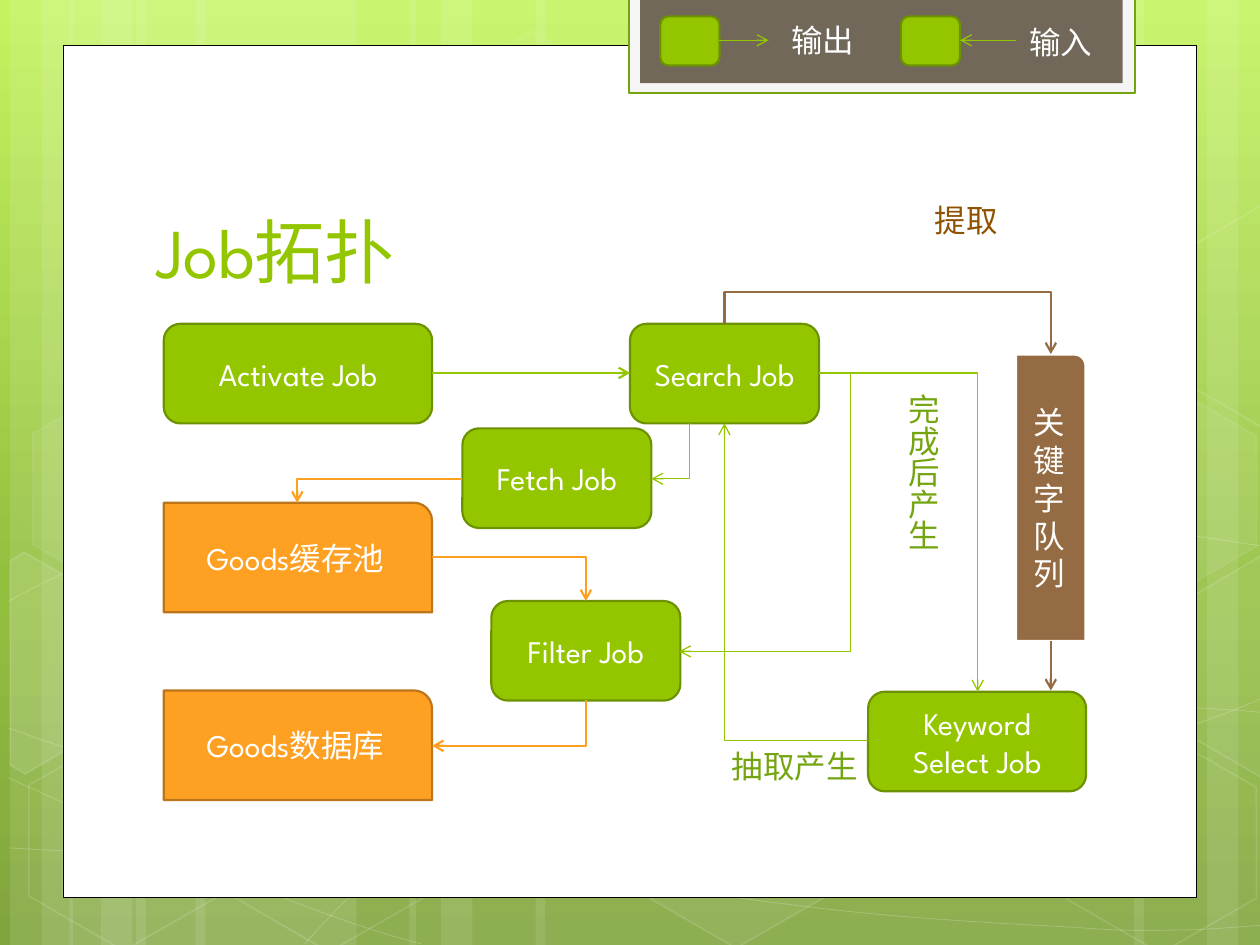
"""Build the job topology slide."""
from math import cos, radians, sin

from lxml import etree
from pptx import Presentation
from pptx.dml.color import RGBColor
from pptx.enum import shapes, text
from pptx.oxml import parse_xml
from pptx.oxml.ns import nsdecls, qn
from pptx.util import Inches, Pt

WHITE = RGBColor(0xFF, 0xFF, 0xFF)
BLACK = RGBColor(0, 0, 0)
GREEN = RGBColor(0x94, 0xC6, 0x00)
GREEN_EDGE = RGBColor(0x6D, 0x92, 0x00)
GREEN_TEXT = RGBColor(0x74, 0xA5, 0x10)
ORANGE = RGBColor(0xFE, 0xA0, 0x22)
ORANGE_EDGE = RGBColor(0xBC, 0x76, 0x19)
BROWN = RGBColor(0x95, 0x6B, 0x43)
BROWN_TEXT = RGBColor(0x8F, 0x52, 0x01)
PALE = RGBColor(0xF5, 0xF5, 0xF5)
TAUPE = RGBColor(0x71, 0x68, 0x5A)
SKY = [(0, "C3F35F"), (62, "93BF3F"), (100, "81A53E")]
KIND = shapes.MSO_SHAPE


def write(frame, words, size=18, color=WHITE, align=None, anchor=None):
    """Put words in a text frame with one format."""
    paragraph = frame.paragraphs[0]
    run = paragraph.add_run()
    run.text = words
    run.font.name, run.font.size, run.font.color.rgb = "League Spartan", Pt(size), color
    paragraph.alignment = align
    if anchor is not None:
        frame.vertical_anchor = anchor


def fade(shape, where, percent):
    """Set the opacity of the colour found at a path in the shape."""
    for color in shape._element.spPr.xpath(where + "a:solidFill/a:srgbClr"):
        etree.SubElement(color, qn("a:alpha")).set("val", str(percent * 1000))


def turn(points, center, degrees):
    """Rotate points clockwise about a center."""
    c, s = cos(radians(degrees)), sin(radians(degrees))
    cx, cy = center
    return [(cx + (x - cx) * c - (y - cy) * s, cy + (x - cx) * s + (y - cy) * c) for x, y in points]


class Board:
    """Hold the current slide and its drawing style."""

    def __init__(self, slide):
        self.slide = slide
        self.shapes = slide.shapes

    def backdrop(self, stops):
        stop_xml = "".join(f'<a:gs pos="{at * 1000}"><a:srgbClr val="{c}"/></a:gs>' for at, c in stops)
        self.slide.background.fill.solid()
        bg = self.slide._element.cSld.find(qn("p:bg")).find(qn("p:bgPr"))
        bg.replace(bg[0], parse_xml(f'<a:gradFill {nsdecls("a")} rotWithShape="1"><a:gsLst>{stop_xml}'
                                    '</a:gsLst><a:lin ang="5400000" scaled="0"/></a:gradFill>'))

    def paint(self, shape, fill, edge, width, opacity=100, edge_opacity=100):
        shape.shadow.inherit = False
        if fill is None:
            shape.fill.background()
        else:
            shape.fill.solid()
            shape.fill.fore_color.rgb = fill
        if edge is None:
            shape.line.fill.background()
        else:
            shape.line.color.rgb, shape.line.width = edge, Pt(width)
        if opacity < 100:
            fade(shape, "./", opacity)
        if edge_opacity < 100:
            fade(shape, "./a:ln/", edge_opacity)
        return shape

    def box(self, kind, place, fill=None, edge=None, width=1.25, words="", **opacity):
        shape = self.shapes.add_shape(kind, *map(Inches, place))
        self.paint(shape, fill, edge, width, **opacity)
        if words:
            write(shape.text_frame, words, align=text.PP_ALIGN.CENTER, anchor=text.MSO_ANCHOR.MIDDLE)
        return shape

    def outline(self, points, close=False, fill=None, width=1.0, **opacity):
        (x, y), *rest = [tuple(int(Inches(v)) for v in point) for point in points]
        builder = self.shapes.build_freeform(x, y)
        builder.add_line_segments(rest, close=close)
        return self.paint(builder.convert_to_shape(), fill, WHITE, width, **opacity)

    def wave(self, points):
        """Draw joined cubic curves from a start and triples of points."""
        shape = self.outline(points, width=0.5, edge_opacity=20)
        corners = shape._element.spPr.xpath(".//a:lnTo")
        for first in range(0, len(corners), 3):
            curve = etree.Element(qn("a:cubicBezTo"))
            corners[first].addprevious(curve)
            for corner in corners[first:first + 3]:
                curve.append(corner[0])
                corner.getparent().remove(corner)

    def cell(self, points, center, fill=WHITE, **opacity):
        """Draw a cut hexagon in a frame tilted by 30 degrees."""
        self.outline(turn(points, center, -30), close=True, fill=fill, edge_opacity=12, **opacity).rotation = 30

    def title(self, words, place):
        heading = self.shapes.title
        heading.left, heading.top, heading.width, heading.height = map(Inches, place)
        self.shapes._spTree.append(heading._element)
        heading.text_frame.auto_size = text.MSO_AUTO_SIZE.NONE
        write(heading.text_frame, words, size=40, color=GREEN, align=text.PP_ALIGN.LEFT,
              anchor=text.MSO_ANCHOR.BOTTOM)

    def label(self, words, place, color=WHITE, upright=False):
        frame = self.shapes.add_textbox(*map(Inches, place)).text_frame
        frame.word_wrap = False
        frame.auto_size = text.MSO_AUTO_SIZE.SHAPE_TO_FIT_TEXT
        if upright:
            frame._txBody.bodyPr.set("vert", "eaVert")
        write(frame, words, color=color)

    def arrow(self, start, end, color, width=1.25, route="straight", bend=None):
        """Draw an arrow; route is straight, across (x first) or down (y first)."""
        (x1, y1), (x2, y2) = start, end
        down = route == "down"
        ends = [start, end]
        if down:
            ends = turn([start, end], ((x1 + x2) / 2, (y1 + y2) / 2), -90)
        kind = shapes.MSO_CONNECTOR.STRAIGHT if route == "straight" else shapes.MSO_CONNECTOR.ELBOW
        link = self.shapes.add_connector(kind, *[Inches(v) for point in ends for v in point])
        link.line.color.rgb, link.line.width = color, Pt(width)
        props = link._element.spPr
        if down:
            props.find(qn("a:xfrm")).set("rot", "5400000")
        shape = props.find(qn("a:prstGeom"))
        if bend is not None:
            ratio = (bend - y1) / (y2 - y1) if down else (bend - x1) / (x2 - x1)
            guide = etree.SubElement(shape.find(qn("a:avLst")), qn("a:gd"))
            guide.set("name", "adj1")
            guide.set("fmla", f"val {round(ratio * 100000)}")
        elif route != "straight":
            shape.set("prst", "bentConnector2")
        etree.SubElement(props.find(qn("a:ln")), qn("a:tailEnd")).set("type", "arrow")
        etree.SubElement(props, qn("a:effectLst"))


deck = Presentation()
deck.slide_width, deck.slide_height = Inches(10), Inches(7.5)
board = Board(deck.slides.add_slide(deck.slide_layouts[5]))
board.backdrop(SKY)

STRIPES = [(1.08, 1.75), (0.08, 0.5), (0.33, 0.83), (1.55, 1.75), (0.55, 0.5), (0.8, 0.83),
           (7.33, 1.75), (9.58, 0.5), (9, 0.83), (4.25, 3.08), (3.25, 0.5), (3.5, 0.83)]
for left, breadth in STRIPES:
    board.box(KIND.RECTANGLE, (left, 0, breadth, 7.5), WHITE, opacity=10)

WAVES = [
    [(0.07, 6.73), (0.61, 6.76), (1.15, 6.79), (1.9, 6.78), (2.65, 6.77), (3.58, 6.75), (4.58, 6.65),
     (5.58, 6.55), (7, 6.36), (7.92, 6.17), (8.83, 5.98), (9.77, 5.68), (10.07, 5.51)],
    [(0.07, 4.77), (0.36, 4.61), (0.65, 4.46), (1.21, 4.31), (1.78, 4.16), (2.59, 3.94), (3.47, 3.87),
     (4.36, 3.8), (5.44, 3.79), (6.54, 3.87), (7.64, 3.95), (9.47, 4.26), (10.07, 4.34)],
    [(0.06, 6.17), (1.27, 6.72), (2.47, 7.27), (3.34, 7.49)],
    [(0.07, 5.78), (0.38, 5.89), (0.7, 6), (1.28, 6.16), (1.86, 6.31), (2.73, 6.56), (3.57, 6.73),
     (4.4, 6.9), (5.45, 7.08), (6.28, 7.18), (7.11, 7.29), (8, 7.33), (8.53, 7.36),
     (9.05, 7.4), (9.19, 7.38), (9.45, 7.38), (9.71, 7.37), (9.89, 7.35), (10.07, 7.34)],
    [(2.42, 7.49), (2.6, 7.29), (2.78, 7.09), (3.02, 6.91), (3.26, 6.73), (3.6, 6.53), (3.88, 6.39),
     (4.16, 6.25), (4.33, 6.19), (4.7, 6.09), (5.06, 5.99), (5.73, 5.85), (6.08, 5.78),
     (6.44, 5.71), (6.49, 5.71), (6.8, 5.69), (7.11, 5.66), (7.6, 5.63), (7.94, 5.62),
     (8.29, 5.61), (8.86, 5.62), (8.86, 5.62), (8.86, 5.62), (9.53, 5.62), (9.53, 5.62),
     (9.71, 5.63), (9.88, 5.64), (9.97, 5.65), (10.06, 5.66), (10.03, 5.65), (10.06, 5.66)]]
for points in WAVES:
    board.wave(points)

HEXAGONS = [(3.34, 0.36, 4, 8), (4.97, 5.89, 6, 12), (0.11, 5.91, 0, 12), (0.14, 3.12, 7, 8), (1.74, 5.92, 0, 12),
            (7.53, 4.53, 10, 12), (8.34, 5.93, 0, 12), (8.34, 3.14, 7, 8)]
for left, top, opacity, edge_opacity in HEXAGONS:
    hexagon = board.box(KIND.HEXAGON, (left, top, 1.75, 1.52), WHITE if opacity else None, WHITE, 1,
                        opacity=opacity or 100, edge_opacity=edge_opacity)
    hexagon.adjustments[0] = 0.29
    hexagon.rotation = 30

board.cell([(0.08, 4.45), (0.19, 4.38), (0.96, 4.82), (0.95, 5.7), (0.2, 6.14), (0.08, 6.07)],
           (0.36, 5.35), opacity=10)
CUT = [(9.26, 0.44), (10.01, 0), (10.09, 0.05), (10.09, 1.72), (10.02, 1.76), (9.26, 1.32)]
for top, fill, opacity in [(4.41, WHITE, 4), (1.63, None, 100)]:
    board.cell([(x, top + y) for x, y in CUT], (9.85, top + 0.79), fill, opacity=opacity)

board.box(KIND.RECTANGLE, (0.5, 0.36, 9, 6.76), WHITE, BLACK, 0.5)
board.box(KIND.RECTANGLE, (4.99, -0.02, 4.02, 0.76), PALE, GREEN_TEXT)
board.box(KIND.RECTANGLE, (5.08, -0.02, 3.83, 0.68), TAUPE)
board.title("Job拓扑", (1.14, 1.12, 7.68, 1.25))

JOBS = [("Activate Job", 1.3, 2.57, 2.13), ("Search Job", 5, 2.57, 1.5), ("Keyword Select Job", 6.89, 5.49, 1.73),
        ("Filter Job", 3.9, 4.77, 1.5), ("Fetch Job", 3.67, 3.4, 1.5)]
for job, left, top, breadth in JOBS:
    board.box(KIND.ROUNDED_RECTANGLE, (left, top, breadth, 0.79), GREEN, GREEN_EDGE, words=job)
for store, top in [("Goods缓存池", 3.99), ("Goods数据库", 5.48)]:
    board.box(KIND.ROUND_1_RECTANGLE, (1.3, top, 2.13, 0.87), ORANGE, ORANGE_EDGE, words=store)
board.box(KIND.ROUND_1_RECTANGLE, (8.06, 2.81, 0.56, 2.28), BROWN, WHITE, 1.75, words="关键字队列")
for left in (5.24, 7.15):
    board.box(KIND.ROUNDED_RECTANGLE, (left, 0.13, 0.47, 0.39), GREEN, GREEN_EDGE)

ARROWS = [((3.43, 2.96), (5, 2.96), GREEN), ((8.34, 5.09), (8.34, 5.48), BROWN),
          ((5.71, 0.32), (6.1, 0.32), GREEN, 0.75), ((8.06, 0.32), (7.62, 0.32), GREEN, 0.75),
          ((6.89, 5.88), (5.75, 3.36), GREEN, 0.75, "across"),
          ((5.75, 2.57), (8.34, 2.81), BROWN, 1.25, "down", 2.32),
          ((3.43, 4.42), (4.65, 4.77), ORANGE, 1.25, "across"),
          ((4.65, 5.56), (3.43, 5.92), ORANGE, 1.25, "down"),
          ((6.5, 2.96), (5.39, 5.17), GREEN, 0.75, "across", 6.75),
          ((6.5, 2.96), (7.76, 5.49), GREEN, 0.75, "across"),
          ((3.67, 3.8), (2.36, 3.99), ORANGE, 1.25, "across"),
          ((5.47, 3.36), (5.17, 3.8), GREEN, 0.75, "down")]
for stops in ARROWS:
    board.arrow(*stops)

board.label("提取", (7.32, 1.55, 0.71, 0.4), BROWN_TEXT)
board.label("抽取产生", (5.71, 5.88, 1.21, 0.4), GREEN_TEXT)
board.label("完成后产生", (7.03, 3.03, 0.5, 1.36), GREEN_TEXT, upright=True)
board.label("输出", (6.18, 0.12, 0.71, 0.4))
board.label("输入", (8.07, 0.13, 0.71, 0.4))

deck.save("out.pptx")
